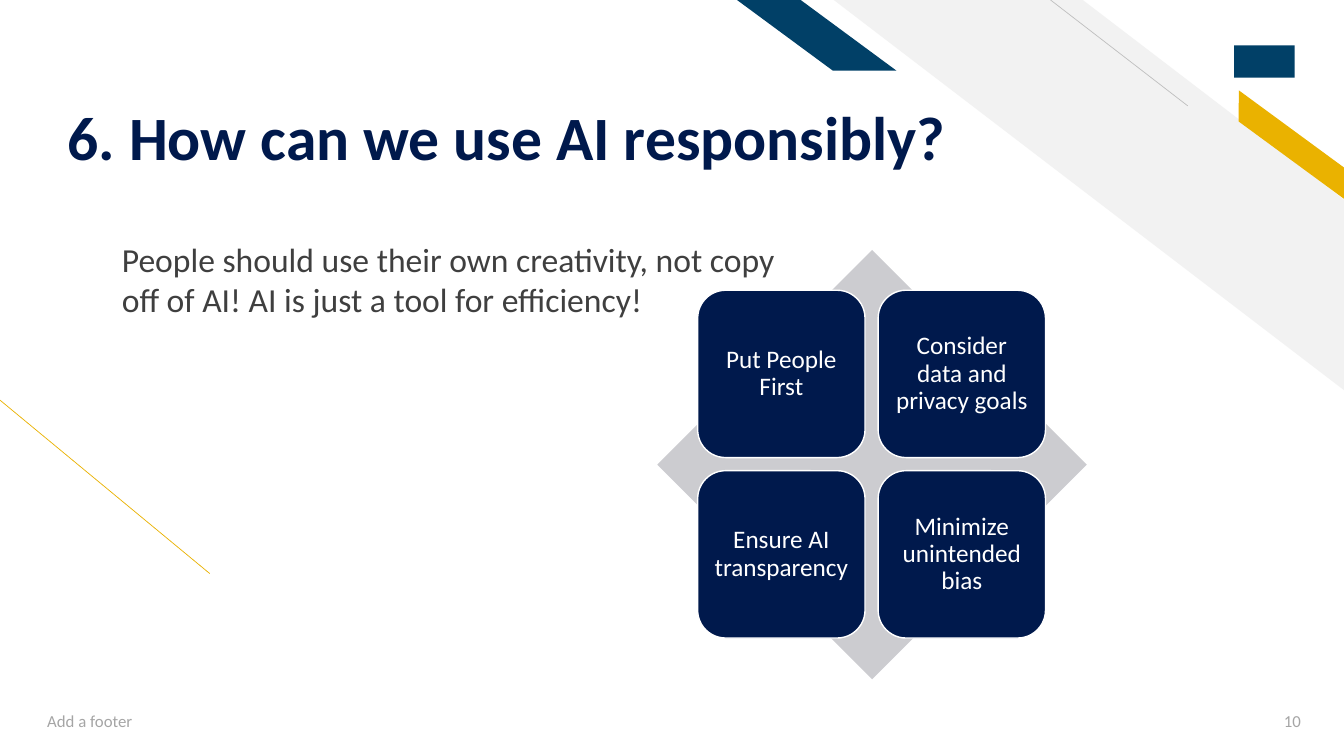
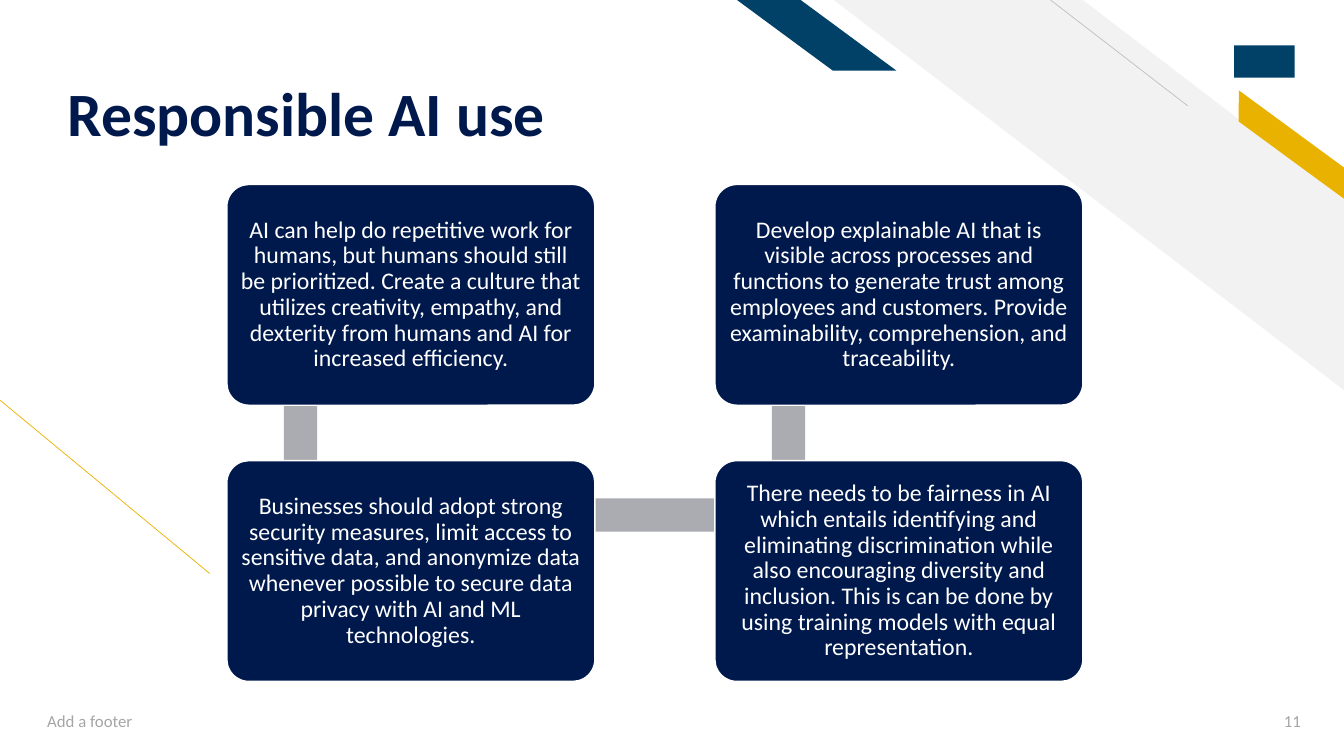
from itertools import pairwise

from lxml.etree import SubElement
from pptx import Presentation
from pptx.dml.color import RGBColor
from pptx.enum.shapes import MSO_CONNECTOR, MSO_SHAPE
from pptx.enum.text import MSO_ANCHOR, MSO_AUTO_SIZE, PP_ALIGN
from pptx.oxml.ns import qn
from pptx.util import Inches, Pt

COLORS = {
    "navy": "00194C", "teal": "014067", "gold": "EAB200", "pale": "F2F2F2",
    "hairline": "BFBFBF", "diamond": "CCCCD0", "bar": "ABACB2",
    "body": "3F3F3F", "footer": "A5A5A5", "white": "FFFFFF",
}
FONT = "Calibri"
FOOTER = "Add a footer"
FIRST_NUMBER = 10

PRINCIPLES = {
    "title": "6. How can we use AI responsibly?",
    "title_top": 0.46,
    "body": "People should use their own creativity, not copy off of AI! "
            "AI is just a tool for efficiency!",
    # (column, row): text
    "cards": {
        (0, 0): "Put People First",
        (1, 0): "Consider data and privacy goals",
        (0, 1): "Ensure AI transparency",
        (1, 1): "Minimize unintended bias",
    },
}
PRACTICES = {
    "title": "Responsible AI use",
    "title_top": 0.23,
    # in the order in which the bars link them
    "cards": {
        (0, 0): "AI can help do repetitive work for humans, but humans should "
                "still be prioritized. Create a culture that utilizes "
                "creativity, empathy, and dexterity from humans and AI for "
                "increased efficiency.",
        (0, 1): "Businesses should adopt strong security measures, limit "
                "access to sensitive data, and anonymize data whenever "
                "possible to secure data privacy with AI and ML technologies.",
        (1, 1): "There needs to be fairness in AI which entails identifying "
                "and eliminating discrimination while also encouraging "
                "diversity and inclusion. This is can be done by using "
                "training models with equal representation.",
        (1, 0): "Develop explainable AI that is visible across processes and "
                "functions to generate trust among employees and customers. "
                "Provide examinability, comprehension, and traceability.",
    },
}


def rgb(name):
    return RGBColor.from_string(COLORS[name])


def set_text(shape, text, size, color, align=PP_ALIGN.LEFT,
             anchor=MSO_ANCHOR.TOP, spacing=1.0, bold=False):
    tf = shape.text_frame
    tf.text = text
    tf.word_wrap = True
    tf.auto_size = MSO_AUTO_SIZE.NONE
    tf.vertical_anchor = anchor
    p = tf.paragraphs[0]
    p.alignment = align
    p.line_spacing = spacing
    font = p.runs[0].font
    font.name, font.size, font.bold = FONT, Pt(size), bold
    font.color.rgb = rgb(color)


def add_text(slide, box, *args, **style):
    set_text(slide.shapes.add_textbox(*map(Inches, box)), *args, **style)


def add_shape(slide, kind, box, fill, adj=None, flip=False, outline=None):
    sp = slide.shapes.add_shape(kind, *map(Inches, box))
    sp.shadow.inherit = False
    sp.fill.solid()
    sp.fill.fore_color.rgb = rgb(fill)
    if outline:
        sp.line.color.rgb = rgb(outline)
        sp.line.width = Pt(1)
    else:
        sp.line.fill.background()
    if adj is not None:
        sp.adjustments[0] = adj
    if flip:
        sp.element.spPr.get_or_add_xfrm().set("flipH", "1")
    return sp


def add_line(slide, start, end, color):
    line = slide.shapes.add_connector(
        MSO_CONNECTOR.STRAIGHT, *map(Inches, start + end))
    line.line.color.rgb = rgb(color)
    line.line.width = Pt(0.5)
    SubElement(line.element.spPr, qn("a:effectLst"))


def add_frame(slide, number):
    """Draw the stripes, mark and footer that every slide shares."""
    add_line(slide, (2.08, 5.69), (0, 3.97), "gold")
    add_shape(slide, MSO_SHAPE.DIAGONAL_STRIPE, (8.27, 0, 5.06, 3.87), "pale",
              adj=0.512, flip=True)
    add_line(slide, (11.78, 1.05), (10.42, 0), "hairline")
    gold = add_shape(slide, MSO_SHAPE.PARALLELOGRAM, (12.07, 1.31, 1.48, 0.25),
                     "gold", adj=0.72, flip=True)
    gold.rotation = 36.3
    add_shape(slide, MSO_SHAPE.RECTANGLE, (12.24, 0.45, 0.6, 0.32), "teal")
    add_shape(slide, MSO_SHAPE.PARALLELOGRAM, (7.31, 0, 1.58, 0.7), "teal",
              adj=1.356, flip=True)
    add_text(slide, (0.37, 6.95, 4.5, 0.4), FOOTER, 12, "footer",
             anchor=MSO_ANCHOR.MIDDLE)
    add_text(slide, (12.19, 6.95, 0.81, 0.4), str(number), 12, "footer",
             align=PP_ALIGN.RIGHT, anchor=MSO_ANCHOR.MIDDLE)


def add_slide(prs, content):
    slide = prs.slides.add_slide(prs.slide_layouts[5])
    add_frame(slide, FIRST_NUMBER + len(prs.slides) - 1)
    title = slide.shapes.title
    title.left, title.top, title.width, title.height = map(
        Inches, (0.57, content["title_top"], 9.11, 1.26))
    set_text(title, content["title"], 44, "navy", anchor=MSO_ANCHOR.BOTTOM,
             spacing=0.9, bold=True)
    title.text_frame.margin_bottom = 0
    return slide


def add_cards(slide, cards, origin, pitch, size, text_size, adj=None):
    for (col, row), text in cards.items():
        box = (origin[0] + col * pitch[0], origin[1] + row * pitch[1], *size)
        sp = add_shape(slide, MSO_SHAPE.ROUNDED_RECTANGLE, box, "navy",
                       adj=adj, outline="white")
        set_text(sp, text, text_size, "white", align=PP_ALIGN.CENTER,
                 anchor=MSO_ANCHOR.MIDDLE, spacing=0.9)
        tf = sp.text_frame
        tf.margin_left = tf.margin_right = Inches(0.07)
        tf.margin_top = tf.margin_bottom = Inches(0.07)


def add_bars(slide, cells, origin, pitch, offset=(0.73, 0.54), thick=0.33):
    """Link consecutive cards with bars that run behind them."""
    points = [[origin[i] + cell[i] * pitch[i] + offset[i] for i in (0, 1)]
              for cell in cells]
    for (x1, y1), (x2, y2) in pairwise(points):
        width, height = abs(x2 - x1) or thick, abs(y2 - y1) or thick
        box = ((x1 + x2 - width) / 2, (y1 + y2 - height) / 2, width, height)
        add_shape(slide, MSO_SHAPE.RECTANGLE, box, "bar")


def add_principles(prs):
    slide = add_slide(prs, PRINCIPLES)
    add_shape(slide, MSO_SHAPE.DIAMOND, (6.52, 2.48, 4.26, 4.26), "diamond")
    add_cards(slide, PRINCIPLES["cards"], (6.92, 2.88), (1.79, 1.79),
              (1.66, 1.66), 18)
    add_text(slide, (1.11, 2.32, 6.69, 1.31), PRINCIPLES["body"], 24, "body")


def add_practices(prs):
    slide = add_slide(prs, PRACTICES)
    origin, pitch = (2.25, 1.83), (4.84, 2.74)
    add_bars(slide, PRACTICES["cards"], origin, pitch)
    add_cards(slide, PRACTICES["cards"], origin, pitch, (3.65, 2.19), 17,
              adj=0.1)


def main():
    prs = Presentation()
    prs.slide_width, prs.slide_height = Inches(13.33), Inches(7.5)
    add_principles(prs)
    add_practices(prs)
    prs.save("out.pptx")


if __name__ == "__main__":
    main()
